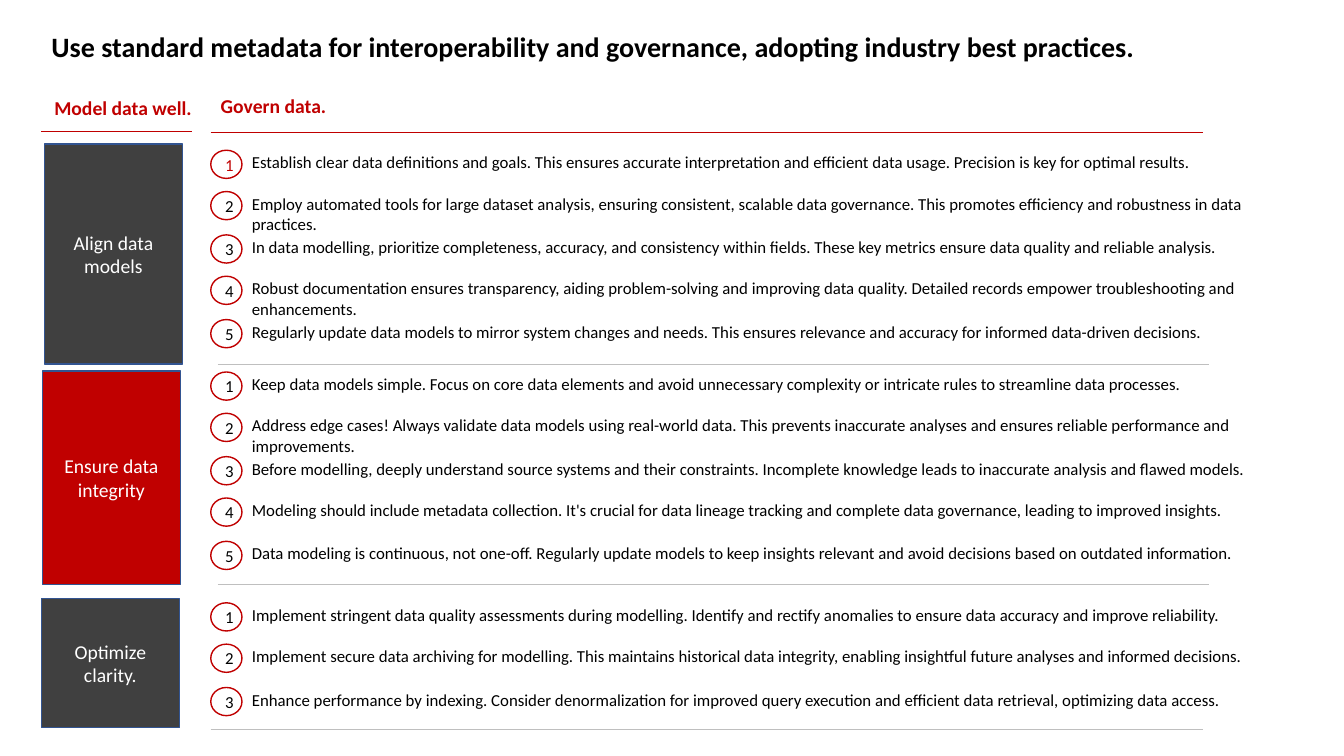
"""Build a slide on standard metadata for interoperability and governance."""
from dataclasses import dataclass

from lxml.etree import SubElement
from pptx import Presentation
from pptx.dml.color import RGBColor
from pptx.enum.shapes import MSO_CONNECTOR, MSO_SHAPE
from pptx.enum.text import MSO_ANCHOR, MSO_AUTO_SIZE, PP_ALIGN
from pptx.oxml.ns import qn
from pptx.util import Inches, Pt

RED, DARK, GREY, BLUE = "C00000", "404040", "BFBFBF", "325491"
BLACK, WHITE = "000000", "FFFFFF"
BADGE_LEFT, TEXT_LEFT = 2.09, 2.4
ROW_OFFSETS = (0, 0.41, 0.84, 1.25, 1.68)


@dataclass
class Box:
    left: float
    top: float
    width: float
    height: float

    def emu(self) -> tuple:
        return tuple(Inches(v) for v in (self.left, self.top, self.width, self.height))


@dataclass
class Section:
    label: str
    box: Box
    fill: str
    first_row: float
    rule_left: float
    rule_right: float
    rule_y: float
    points: list[str]


@dataclass
class Heading:
    text: str
    box: Box
    rule_left: float
    rule_right: float
    rule_y: float


SECTIONS = [
    Section("Align data models", Box(0.44, 1.43, 1.37, 2.18), DARK, 1.46, 2.16, 11.99, 3.61, [
        "Establish clear data definitions and goals. This ensures accurate interpretation "
        "and efficient data usage. Precision is key for optimal results.",
        "Employ automated tools for large dataset analysis, ensuring consistent, scalable data "
        "governance. This promotes efficiency and robustness in data practices.",
        "In data modelling, prioritize completeness, accuracy, and consistency within fields. "
        "These key metrics ensure data quality and reliable analysis.",
        "Robust documentation ensures transparency, aiding problem-solving and improving data "
        "quality. Detailed records empower troubleshooting and enhancements.",
        "Regularly update data models to mirror system changes and needs. This ensures "
        "relevance and accuracy for informed data-driven decisions.",
    ]),
    Section("Ensure data integrity", Box(0.42, 3.68, 1.37, 2.12), RED, 3.66, 2.16, 11.99, 5.8, [
        "Keep data models simple. Focus on core data elements and avoid unnecessary complexity "
        "or intricate rules to streamline data processes.",
        "Address edge cases! Always validate data models using real-world data. This prevents "
        "inaccurate analyses and ensures reliable performance and improvements.",
        "Before modelling, deeply understand source systems and their constraints. Incomplete "
        "knowledge leads to inaccurate analysis and flawed models.",
        "Modeling should include metadata collection. It's crucial for data lineage tracking "
        "and complete data governance, leading to improved insights.",
        "Data modeling is continuous, not one-off. Regularly update models to keep insights "
        "relevant and avoid decisions based on outdated information.",
    ]),
    Section("Optimize clarity.", Box(0.41, 5.94, 1.37, 1.28), DARK, 5.95, 2.09, 11.93, 7.24, [
        "Implement stringent data quality assessments during modelling. Identify and rectify "
        "anomalies to ensure data accuracy and improve reliability.",
        "Implement secure data archiving for modelling. This maintains historical data "
        "integrity, enabling insightful future analyses and informed decisions.",
        "Enhance performance by indexing. Consider denormalization for improved query "
        "execution and efficient data retrieval, optimizing data access.",
    ]),
]

HEADINGS = [
    Heading("Model data well.", Box(0.44, 0.9, 1.66, 0.34), 0.41, 1.9, 1.3),
    Heading("Govern data.", Box(2.09, 0.88, 9.96, 0.34), 2.09, 11.93, 1.31),
]


def rgb(hex_color: str) -> RGBColor:
    return RGBColor.from_string(hex_color)


def write(sp, text: str, size: int, color: str, bold: bool = False,
          align: PP_ALIGN = PP_ALIGN.LEFT) -> None:
    tf = sp.text_frame
    tf.text = text
    tf.word_wrap = True
    p = tf.paragraphs[0]
    p.alignment = align
    font = p.runs[0].font
    font.name, font.size, font.bold = "Calibri", Pt(size), bold
    font.color.rgb = rgb(color)


def add_text(s, box: Box, text: str, size: int, color: str, bold: bool = False) -> None:
    sp = s.shapes.add_textbox(*box.emu())
    write(sp, text, size, color, bold)
    sp.text_frame.auto_size = MSO_AUTO_SIZE.SHAPE_TO_FIT_TEXT


def add_filled(s, kind: MSO_SHAPE, box: Box, fill: str, line: str,
               text: str, size: int, color: str) -> None:
    sp = s.shapes.add_shape(kind, *box.emu())
    sp.shadow.inherit = False
    sp.fill.solid()
    sp.fill.fore_color.rgb = rgb(fill)
    sp.line.color.rgb = rgb(line)
    sp.line.width = Pt(1)
    write(sp, text, size, color, align=PP_ALIGN.CENTER)
    sp.text_frame.vertical_anchor = MSO_ANCHOR.MIDDLE


def add_rule(s, left: float, right: float, y: float, color: str) -> None:
    ends = (Inches(v) for v in (left, y, right, y))
    rule = s.shapes.add_connector(MSO_CONNECTOR.STRAIGHT, *ends)
    rule.line.color.rgb = rgb(color)
    rule.line.width = Pt(0.5)
    SubElement(rule._element.spPr, qn("a:effectLst"))


def add_title(s, text: str) -> None:
    sp = s.shapes.title
    sp.left, sp.top, sp.width, sp.height = Box(0.41, 0.24, 12.35, 0.44).emu()
    write(sp, text, 20, BLACK, bold=True)
    sp.text_frame.vertical_anchor = MSO_ANCHOR.TOP
    sp.text_frame.auto_size = MSO_AUTO_SIZE.SHAPE_TO_FIT_TEXT


def add_section(s, section: Section, first_number_color: str) -> None:
    for number, (offset, point) in enumerate(zip(ROW_OFFSETS, section.points), 1):
        top = section.first_row + offset
        color = first_number_color if number == 1 else BLACK
        add_filled(s, MSO_SHAPE.OVAL, Box(BADGE_LEFT, top + 0.03, 0.31, 0.28),
                   WHITE, RED, str(number), 12, color)
        add_text(s, Box(TEXT_LEFT, top, 10.5, 0.3), point, 12, BLACK)
    add_rule(s, section.rule_left, section.rule_right, section.rule_y, GREY)
    add_filled(s, MSO_SHAPE.RECTANGLE, section.box, section.fill, BLUE,
               section.label, 14, WHITE)


def main() -> None:
    prs = Presentation()
    prs.slide_width, prs.slide_height = Inches(13.33), Inches(7.5)
    s = prs.slides.add_slide(prs.slide_layouts[5])
    add_title(s, "Use standard metadata for interoperability and governance, "
                 "adopting industry best practices.")
    for heading in HEADINGS:
        add_text(s, heading.box, heading.text, 14, RED, bold=True)
        add_rule(s, heading.rule_left, heading.rule_right, heading.rule_y, RED)
    for index, section in enumerate(SECTIONS):
        add_section(s, section, RED if index == 0 else BLACK)
    prs.save("out.pptx")


if __name__ == "__main__":
    main()
